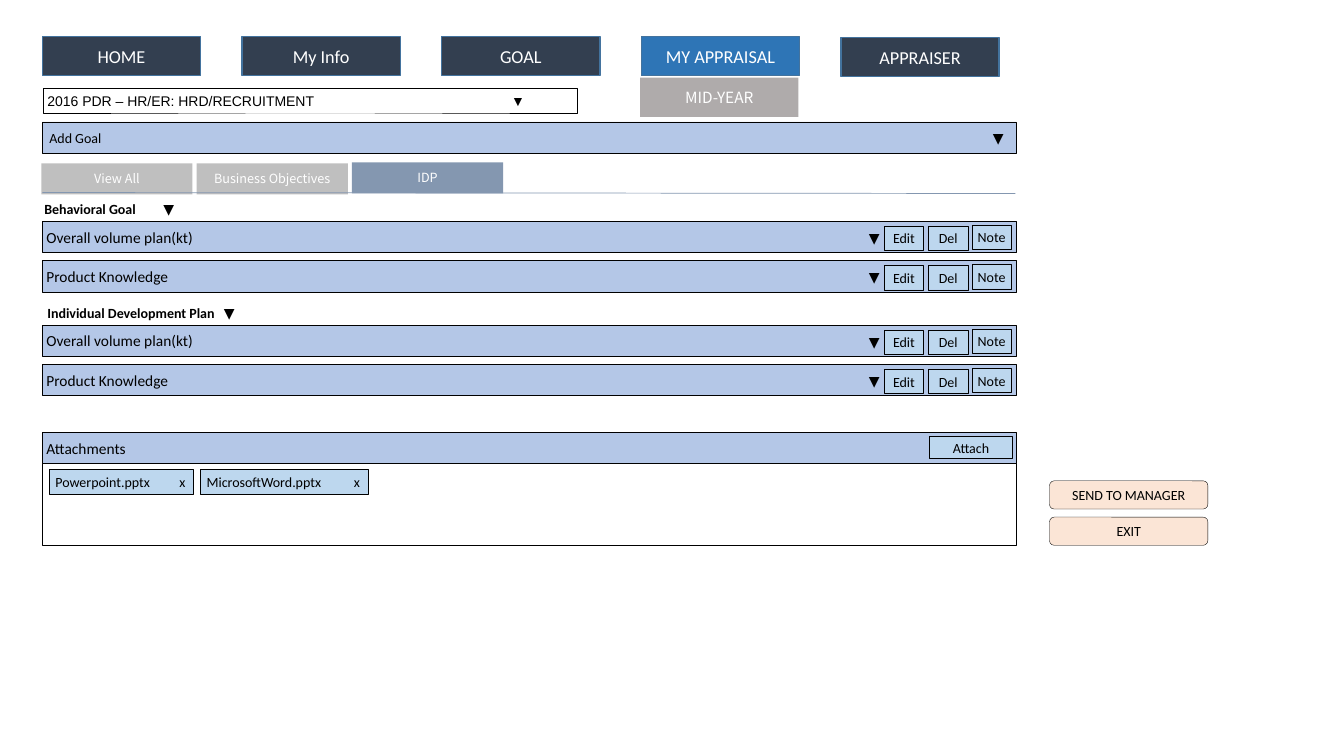
from lxml import etree
from pptx import Presentation
from pptx.dml.color import RGBColor
from pptx.enum import shapes as kinds, text as t
from pptx.oxml import ns
from pptx.util import Inches, Pt

HUES = {
    "navy": "333F50", "edge": "43739E", "blue": "2E75B6", "gray": "AFABAB",
    "bar": "B4C7E7", "key": "BDD7EE", "tab": "BFBFBF", "slate": "8497B0",
    "peach": "FBE5D6", "black": "000000", "white": "FFFFFF",
}
NOTO = "Noto Sans CJK KR"
LEFT, WIDE = 0.42, 9.66
MID, START = t.PP_ALIGN.CENTER, t.PP_ALIGN.LEFT


def hue(name):
    return RGBColor.from_string(HUES[name])


def write(shape, words, size, color="black", font="Calibri", align=MID,
          inset=0.04, stop=None, bold=False):
    """Put one paragraph in a shape; an optional tab stop sets a mark apart."""
    frame = shape.text_frame
    frame.word_wrap = True
    frame.vertical_anchor = t.MSO_ANCHOR.MIDDLE
    frame.margin_left = frame.margin_right = Inches(inset)
    frame.margin_top = frame.margin_bottom = 0
    para = frame.paragraphs[0]
    para.alignment = align
    if stop:
        tabs = etree.SubElement(para._p.get_or_add_pPr(), ns.qn("a:tabLst"))
        etree.SubElement(tabs, ns.qn("a:tab"), pos=str(Inches(stop)), algn="l")
    para.font.size = Pt(size)
    para.font.name = font
    para.font.color.rgb = hue(color)
    para.add_run().text = words
    if bold:
        para.runs[0].font.bold = True
    return para


def box(slide, x, y, w, h, fill=None, line="black", weight=0.25, round=False):
    kind = kinds.MSO_SHAPE.ROUNDED_RECTANGLE if round else kinds.MSO_SHAPE.RECTANGLE
    shape = slide.shapes.add_shape(kind, Inches(x), Inches(y), Inches(w), Inches(h))
    shape.shadow.inherit = False
    if fill:
        shape.fill.solid()
        shape.fill.fore_color.rgb = hue(fill)
    else:
        shape.fill.background()
    if line:
        shape.line.color.rgb = hue(line)
        shape.line.width = Pt(weight)
    else:
        shape.line.fill.background()
    return shape


def label(slide, x, y, w, h, words, **style):
    area = slide.shapes.add_textbox(Inches(x), Inches(y), Inches(w), Inches(h))
    return write(area, words, 10, **style)


def arrow(slide, x, y):
    label(slide, x, y, 0.24, 0.27, "▼", inset=0)


def bar(slide, y, words, size=11, inset=0.04):
    write(box(slide, LEFT, y, WIDE, 0.31, "bar"), words, size,
          align=START, inset=inset)


def key(slide, x, y, w, h, words):
    write(box(slide, x, y, w, h, "key"), words, 10)


def goal(slide, y, words):
    bar(slide, y, words)
    arrow(slide, 8.55, y + 0.03)
    for x, drop, name in ((8.77, 0.05, "Edit"), (9.21, 0.05, "Del"),
                          (9.64, 0.04, "Note")):
        key(slide, x, y + drop, 0.39, 0.24, name)


def group(slide, y, words, inset, stop):
    para = label(slide, LEFT, y, 3.23, 0.21, words + "\t", align=START,
                 inset=inset, stop=stop, bold=True)
    para.add_run().text = "▼"
    for row, name in enumerate(("Overall volume plan(kt)", "Product Knowledge")):
        goal(slide, y + 0.225 + 0.39 * row, name)


def chip(slide, x, w, name):
    write(box(slide, x, 4.66, w, 0.24, "key"), name + "\tx", 10, align=START,
          inset=0.06, stop=w - 0.2)


def rule(slide, x1, y1, x2, y2):
    line = slide.shapes.add_connector(kinds.MSO_CONNECTOR.STRAIGHT, Inches(x1),
                                      Inches(y1), Inches(x2), Inches(y2))
    line.line.color.rgb = hue("slate")
    line.line.width = Pt(0.5)
    etree.SubElement(line._element.spPr, ns.qn("a:effectLst"))


def main():
    deck = Presentation()
    deck.slide_width, deck.slide_height = Inches(13.33), Inches(7.5)
    slide = deck.slides.add_slide(deck.slide_layouts[6])

    # Main menu
    menu = ("HOME", "My Info", "GOAL", "MY APPRAISAL", "APPRAISER")
    for i, name in enumerate(menu):
        fill = "blue" if name == "MY APPRAISAL" else "navy"
        top = 0.37 if name == "APPRAISER" else 0.36
        item = box(slide, LEFT + 1.98 * i, top, 1.57, 0.39, fill, "edge", 1)
        write(item, name, 13, "white")
    write(box(slide, 6.35, 0.77, 1.57, 0.39, "gray", None),
          "MID-YEAR", 11, "white", NOTO)

    # Plan picker and new goal
    write(box(slide, 0.43, 0.88, 5.29, 0.24),
          "2016 PDR – HR/ER: HRD/RECRUITMENT\t▼", 10, font="Arial",
          align=START, stop=4.6)
    bar(slide, 1.21, "Add Goal", 10, 0.07)
    arrow(slide, 9.78, 1.23)

    # View tabs
    views = (("View All", 1.62, "tab"), ("Business Objectives", 1.62, "tab"),
             ("IDP", 1.61, "slate"))
    for i, (name, top, fill) in enumerate(views):
        write(box(slide, 0.41 + 1.54 * i, top, 1.5, 0.31, fill, None),
              name, 9, "white", NOTO)
    rule(slide, LEFT, 1.91, 10.07, 1.92)

    # Goal groups
    group(slide, 1.97, "Behavioral Goal", 0.02, 1.18)
    group(slide, 3.0, "Individual Development Plan", 0.05, 1.75)

    # Attachments
    box(slide, LEFT, 4.59, WIDE, 0.82)
    bar(slide, 4.29, "Attachments")
    key(slide, 9.22, 4.33, 0.82, 0.22, "Attach")
    chip(slide, 0.49, 1.43, "Powerpoint.pptx")
    chip(slide, 1.99, 1.66, "MicrosoftWord.pptx")

    # Closing buttons
    for y, name in ((4.77, "SEND TO MANAGER"), (5.13, "EXIT")):
        write(box(slide, 10.41, y, 1.57, 0.28, "peach", round=True), name, 10,
              inset=0.02)

    deck.save("out.pptx")


if __name__ == "__main__":
    main()
